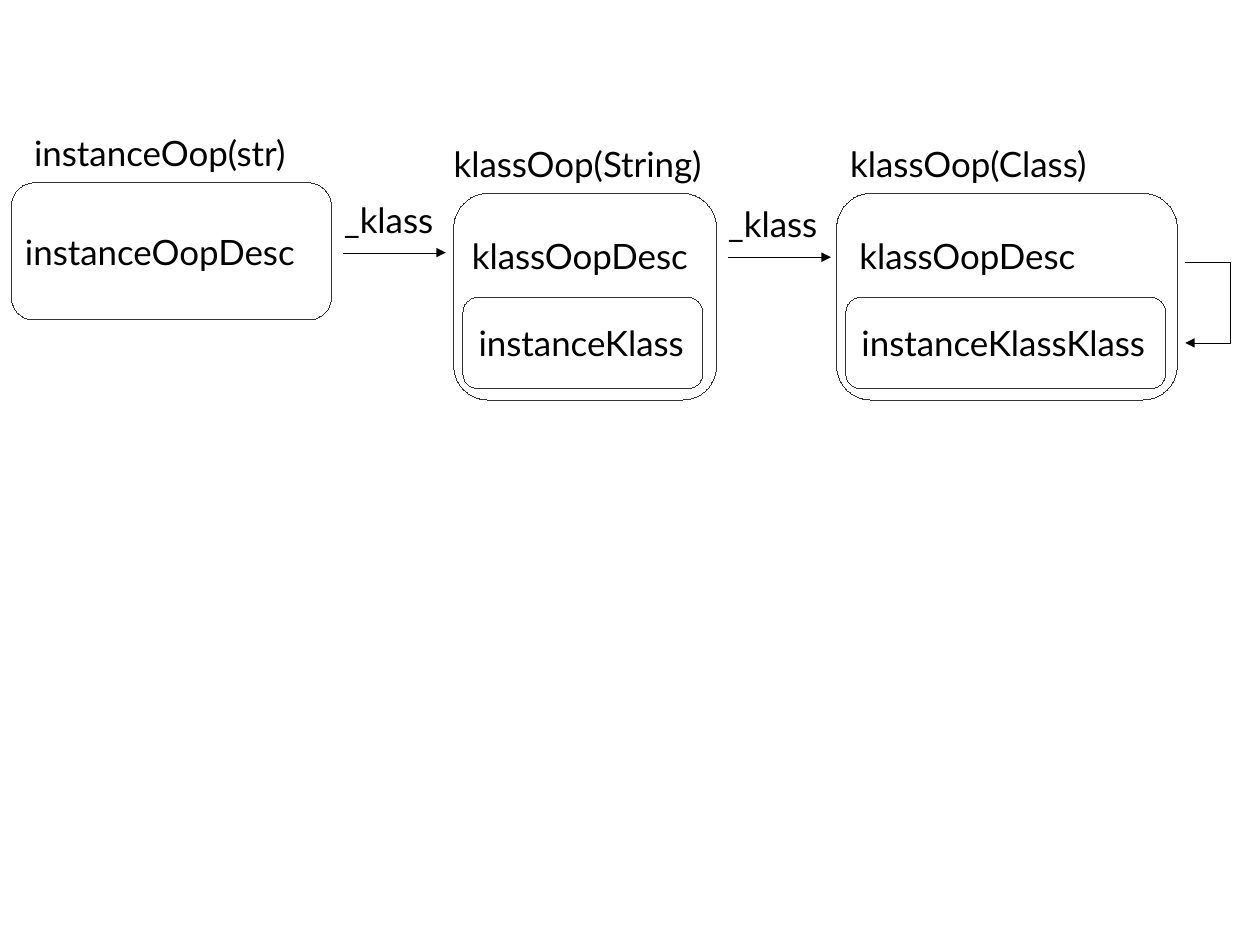
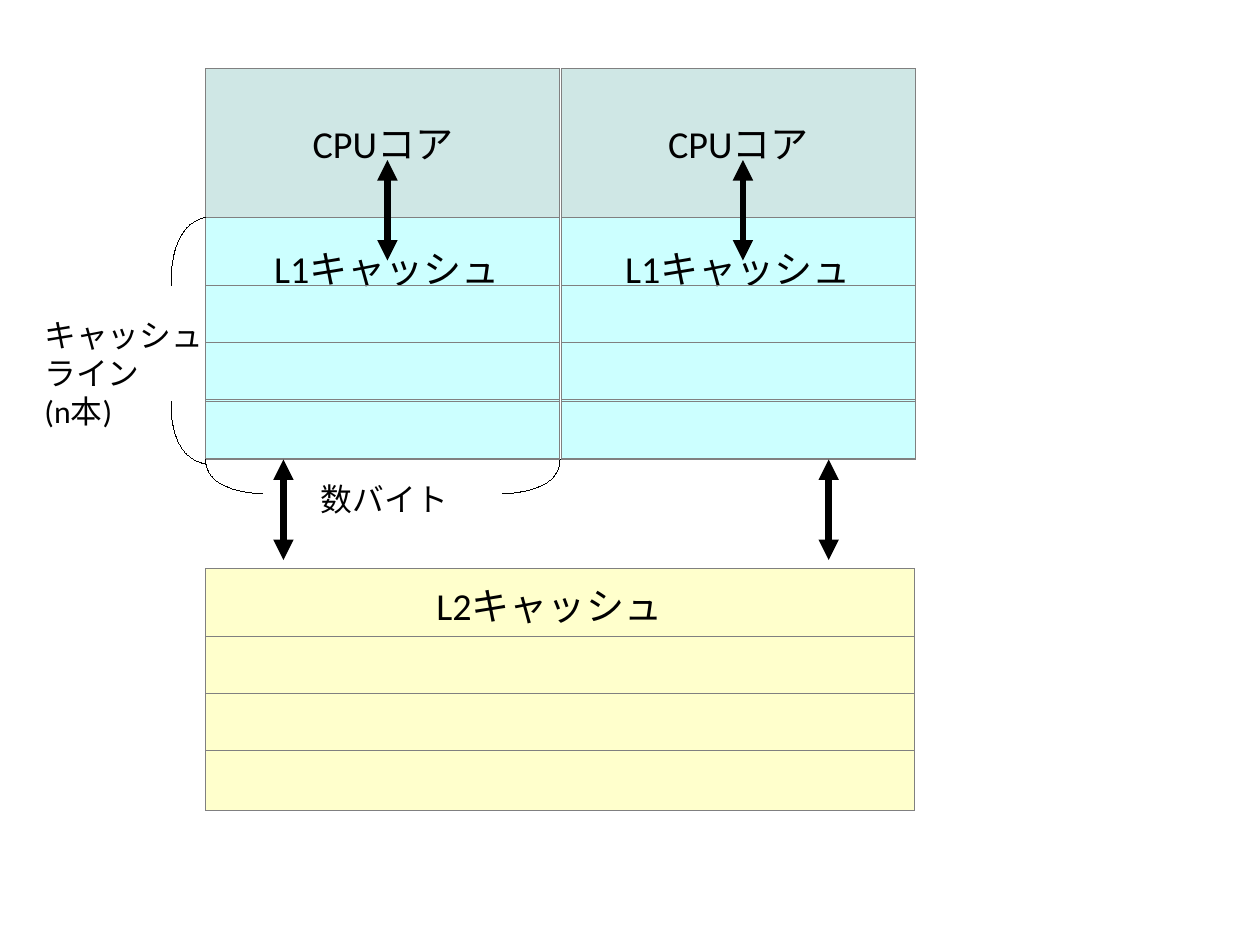
from pptx import Presentation
from pptx.dml.color import RGBColor
from pptx.enum.shapes import MSO_CONNECTOR as CONN, MSO_SHAPE as SHAPE
from pptx.enum.text import MSO_ANCHOR as ANCHOR, PP_ALIGN as ALIGN
from pptx.oxml.ns import qn
from pptx.util import Inches, Mm, Pt
from lxml.etree import SubElement

BLACK, DARK, GREY = "000000", "333333", "808080"
CORE, L1, L2 = "CFE7E5", "CCFFFF", "FFFFCC"
HAIR, THICK = 0.01, 4.31
LATO, CALIBRI = ("Lato", 22), ("Calibri", 24)
SMALL = ("Calibri", 20)

OOPS = [
    {"box": (0.1, 1.6, 2.8, 1.2), "title": ("instanceOop(str)", 0.2, 1.1),
     "desc": ("instanceOopDesc", 0.12, 1.97)},
    {"box": (3.97, 1.69, 2.3, 1.81), "title": ("klassOop(String)", 3.87, 1.2),
     "desc": ("klassOopDesc", 4.03, 2), "klass": ("instanceKlass", 2.1)},
    {"box": (7.32, 1.69, 2.98, 1.81), "title": ("klassOop(Class)", 7.34, 1.2),
     "desc": ("klassOopDesc", 7.42, 2), "klass": ("instanceKlassKlass", 2.8)},
]
KLASS_ARROWS = [(3, 2.21, 2.91, 1.69), (6.37, 2.25, 6.27, 1.72)]
LOOP = [(10.37, 2.3), (10.77, 2.3), (10.77, 3), (10.37, 3)]

LEFT, CORE_TOP, CORE_W, CORE_H = 1.8, 0.6, 3.1, 1.3
L1_TOP, L2_TOP, CACHE_H = CORE_TOP + CORE_H, 4.97, 2.12
L1_BOTTOM = L1_TOP + CACHE_H
LINE_H = 0.5
CORES = [(LEFT, 2.3, 3.39), (LEFT + CORE_W + 0.01, 5.37, 6.5)]
BUS_XS, ARROW_H = (2.48, 7.25), 0.88
BRACKETS = [
    [(1.8, 1.9), (1.46, 1.97), (1.5, 2.5), (1.5, 2.5)],
    [(1.8, 4.06), (1.46, 3.99), (1.5, 3.51), (1.5, 3.51)],
    [(1.8, 4.02), (1.8, 4.32), (2.3, 4.32), (2.3, 4.32)],
    [(4.9, 4.02), (4.9, 4.32), (4.4, 4.32), (4.4, 4.32)],
]
NOTES = [(["キャッシュ", "ライン", "(n本)"], (0.29, 2.71, 1.59, 1.31)),
         (["数バイト"], (2.71, 4.15, 1.31, 0.5))]


def rgb(value):
    return RGBColor.from_string(value)


def inches(values):
    return [Inches(v) for v in values]


def write(sp, lines, font, wrap=False, align=ALIGN.LEFT):
    tf = sp.text_frame
    tf.word_wrap = wrap
    tf.text = "\n".join(lines)
    for p in tf.paragraphs:
        p.alignment = align
        p.font.name, size = font
        p.font.size = Pt(size)
        p.font.color.rgb = rgb(BLACK)


def add_label(s, lines, at, font, wrap=False):
    write(s.shapes.add_textbox(*inches(at)), lines, font, wrap)


def outline(sp, color, fill=None):
    sp.shadow.inherit = False
    sp.line.color.rgb = rgb(color)
    sp.line.width = Pt(HAIR)
    if fill:
        sp.fill.solid()
        sp.fill.fore_color.rgb = rgb(fill)
    else:
        sp.fill.background()


def add_box(s, kind, at, color, fill=None, text=None, font=None, align=ALIGN.CENTER):
    sp = s.shapes.add_shape(kind, *inches(at))
    outline(sp, color, fill)
    if text:
        sp.text_frame.vertical_anchor = ANCHOR.MIDDLE
        write(sp, [text], font, align=align)


def add_line(s, start, end, width=HAIR, heads=()):
    cx = s.shapes.add_connector(CONN.STRAIGHT, *inches((*start, *end)))
    cx.line.color.rgb = rgb(BLACK)
    cx.line.width = Pt(width)
    ln = cx.line._get_or_add_ln()
    for head in heads:
        SubElement(ln, qn(f"a:{head}"), type="triangle")
    SubElement(cx._element.spPr, qn("a:effectLst"))


def add_double_arrow(s, x, top):
    add_line(s, (x, top), (x, top + ARROW_H), THICK, ("headEnd", "tailEnd"))


def add_curve(s, points, steps=24):
    def at(t):
        weights = ((1 - t) ** 3, 3 * t * (1 - t) ** 2, 3 * t * t * (1 - t), t ** 3)
        return inches(sum(w * pt[axis] for w, pt in zip(weights, points))
                      for axis in (0, 1))
    fb = s.shapes.build_freeform(*at(0))
    fb.add_line_segments([at(i / steps) for i in range(1, steps + 1)], close=False)
    outline(fb.convert_to_shape(), BLACK)


def add_cache(s, x, top, width, fill, name, name_x, name_y, offsets):
    add_box(s, SHAPE.RECTANGLE, (x, top, width, CACHE_H), GREY, fill)
    add_label(s, [name], (name_x, name_y, 2.32, 0.58), CALIBRI)
    for offset in offsets:
        add_box(s, SHAPE.RECTANGLE, (x, top + offset, width, LINE_H), GREY)


def build_oops(s):
    for oop in OOPS:
        add_box(s, SHAPE.ROUNDED_RECTANGLE, oop["box"], DARK)
        for text, x, y in (oop["title"], oop["desc"]):
            add_label(s, [text], (x, y, 2.92, 0.52), LATO, True)
        if "klass" in oop:
            text, width = oop["klass"]
            add_box(s, SHAPE.ROUNDED_RECTANGLE, (oop["box"][0] + 0.08, 2.6, width, 0.8),
                    DARK, None, text, LATO, ALIGN.LEFT)
    for x, y, label_x, label_y in KLASS_ARROWS:
        add_line(s, (x, y), (x + 0.9, y), heads=("tailEnd",))
        add_label(s, ["_klass"], (label_x, label_y, 1.2, 0.52), LATO, True)
    for start, end in zip(LOOP, LOOP[1:]):
        add_line(s, start, end, heads=("tailEnd",) if end == LOOP[-1] else ())


def build_caches(s):
    for x, name_x, _ in CORES:
        add_box(s, SHAPE.RECTANGLE, (x, CORE_TOP, CORE_W, CORE_H), GREY, CORE,
                "CPUコア", CALIBRI)
        add_cache(s, x, L1_TOP, CORE_W, L1, "L1キャッシュ", name_x, 2.1,
                  (0.6, 1.1, 1.61))
    add_cache(s, LEFT, L2_TOP, 2 * CORE_W, L2, "L2キャッシュ", 3.72, 5.05, (0.6, 1.1))
    for points in BRACKETS:
        add_curve(s, points)
    for lines, at in NOTES:
        add_label(s, lines, at, SMALL)
    for x in BUS_XS:
        add_double_arrow(s, x, L1_BOTTOM)
    for _, _, x in CORES:
        add_double_arrow(s, x, 1.4)


def main():
    prs = Presentation()
    prs.slide_width, prs.slide_height = Mm(280), Mm(210)
    for build in (build_oops, build_caches):
        build(prs.slides.add_slide(prs.slide_layouts[6]))
    prs.save("out.pptx")


if __name__ == "__main__":
    main()
